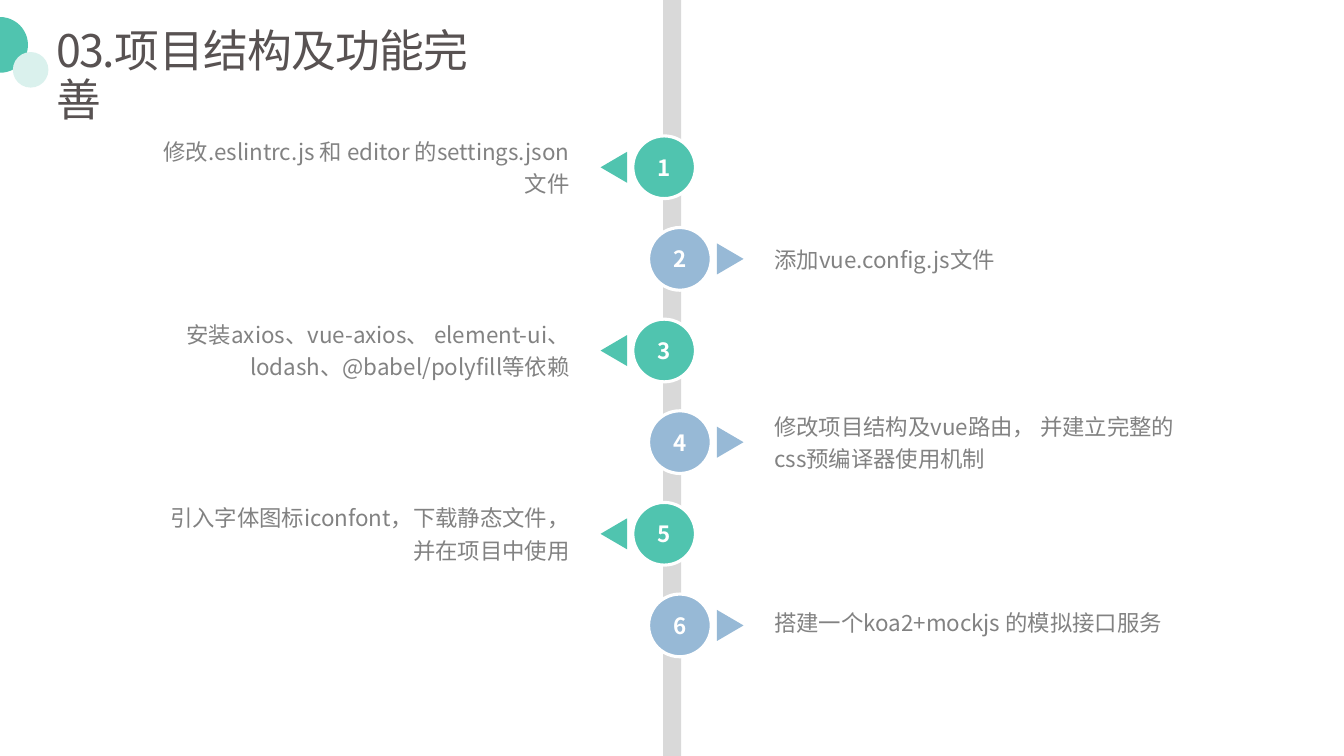
"""Build a timeline slide of six project set-up steps."""
from pptx import Presentation
from pptx.dml.color import RGBColor
from pptx.enum.shapes import MSO_SHAPE
from pptx.enum.text import MSO_ANCHOR, MSO_AUTO_SIZE, PP_ALIGN
from pptx.oxml.ns import qn
from pptx.util import Pt

OVAL, RECTANGLE, TRIANGLE = MSO_SHAPE.OVAL, MSO_SHAPE.RECTANGLE, MSO_SHAPE.ISOSCELES_TRIANGLE
TOP, MIDDLE = MSO_ANCHOR.TOP, MSO_ANCHOR.MIDDLE
LEFT, CENTER, RIGHT = PP_ALIGN.LEFT, PP_ALIGN.CENTER, PP_ALIGN.RIGHT
TITLE_ONLY = 5

FONT = "Noto Sans CJK SC"
COLORS = {
    "green": "50C4AF",
    "mint": "DAF1ED",
    "blue": "97B9D6",
    "spine": "D9D9D9",
    "title": "585252",
    "body": "828282",
    "white": "FFFFFF",
}
STEPS = [
    ("修改.eslintrc.js 和 editor 的settings.json文件", 1.2),
    ("添加vue.config.js文件", 1.2),
    ("安装axios、vue-axios、 element-ui、lodash、@babel/polyfill等依赖", 1.2),
    ("修改项目结构及vue路由， 并建立完整的css预编译器使用机制", 1.2),
    ("引入字体图标iconfont，下载静态文件，并在项目中使用", 1.2),
    ("搭建一个koa2+mockjs 的模拟接口服务", 1),
]
SIDES = [
    {"color": "green", "circle": 452, "arrow": 438.5, "turn": 270, "label": 100.8, "align": RIGHT},
    {"color": "blue", "circle": 463.3, "arrow": 521.6, "turn": 90, "label": 546, "align": LEFT},
]
FIRST_CENTER, PITCH = 119.5, 65.45
CIRCLE = 44.8
ARROW_WIDTH, ARROW_HEIGHT = 22.2, 19
LABEL_WIDTH, LABEL_HEIGHT = 313.2, 56.2


def rgb(name):
    """Return the named colour."""
    return RGBColor.from_string(COLORS[name])


def write(shape, *runs, size=16, color="body", bold=False, align=LEFT, spacing=None,
          anchor=MIDDLE, insets=(7.2, 3.6, 7.2, 3.6), wrap=True):
    """Write (text, tracking) runs as one formatted paragraph."""
    frame = shape.text_frame
    frame.auto_size = MSO_AUTO_SIZE.NONE
    frame.word_wrap = wrap
    frame.vertical_anchor = anchor
    frame.margin_left, frame.margin_top, frame.margin_right, frame.margin_bottom = map(Pt, insets)
    paragraph = frame.paragraphs[0]
    paragraph.alignment = align
    paragraph.line_spacing = spacing
    for text, tracking in runs:
        run = paragraph.add_run()
        run.text = text
        font = run.font
        font.size, font.bold, font.name = Pt(size), bold, FONT
        font.color.rgb = rgb(color)
        properties = run._r.get_or_add_rPr()
        properties.set("spc", str(tracking))
        east_asian = properties.makeelement(qn("a:ea"), {"typeface": FONT})
        properties.find(qn("a:latin")).addnext(east_asian)


def add_figure(shapes, kind, left, top, width, height, color, outline=None):
    """Add a flat preset shape."""
    figure = shapes.add_shape(kind, Pt(left), Pt(top), Pt(width), Pt(height))
    figure.shadow.inherit = False
    figure.fill.solid()
    figure.fill.fore_color.rgb = rgb(color)
    if outline:
        figure.line.color.rgb = rgb(outline)
        figure.line.width = Pt(2.25)
    else:
        figure.line.fill.background()
    return figure


def add_title(slide):
    """Place the heading and its corner bubbles."""
    add_figure(slide.shapes, OVAL, -19.8, 12.2, 39.8, 39.8, "green")
    add_figure(slide.shapes, OVAL, 9.2, 37.2, 25.4, 25.4, "mint")
    title = slide.shapes.title
    title.left, title.top, title.width, title.height = Pt(34.8), Pt(18), Pt(334.8), Pt(40.3)
    write(title, ("03.", -150), ("项目结构及功能完善", -50), size=32, color="title",
          spacing=0.9, anchor=TOP, insets=(5.8, 2.9, 5.8, 2.9))


def add_step(slide, index, text, spacing):
    """Add a numbered circle with its arrow and label."""
    side = SIDES[index % 2]
    center = FIRST_CENTER + index * PITCH
    parts = slide.shapes.add_group_shape().shapes
    circle = add_figure(parts, OVAL, side["circle"], center - CIRCLE / 2, CIRCLE, CIRCLE,
                        side["color"], outline="white")
    write(circle, (str(index + 1), 0), color="white", bold=True, align=CENTER, wrap=False)
    arrow = add_figure(parts, TRIANGLE, side["arrow"] - ARROW_WIDTH / 2,
                       center - ARROW_HEIGHT / 2, ARROW_WIDTH, ARROW_HEIGHT, side["color"])
    arrow.rotation = side["turn"]
    label = parts.add_textbox(Pt(side["label"]), Pt(center - LABEL_HEIGHT / 2),
                              Pt(LABEL_WIDTH), Pt(LABEL_HEIGHT))
    write(label, (text, 0), align=side["align"], spacing=spacing, insets=(7.2, 0, 7.2, 3.6))


def main():
    """Build and save the slide."""
    deck = Presentation()
    deck.slide_width, deck.slide_height = Pt(960), Pt(540)
    slide = deck.slides.add_slide(deck.slide_layouts[TITLE_ONLY])
    add_title(slide)
    add_figure(slide.shapes, RECTANGLE, 473.6, 0, 13, 540, "spine")
    for index, (text, spacing) in enumerate(STEPS):
        add_step(slide, index, text, spacing)
    deck.save("out.pptx")


if __name__ == "__main__":
    main()
